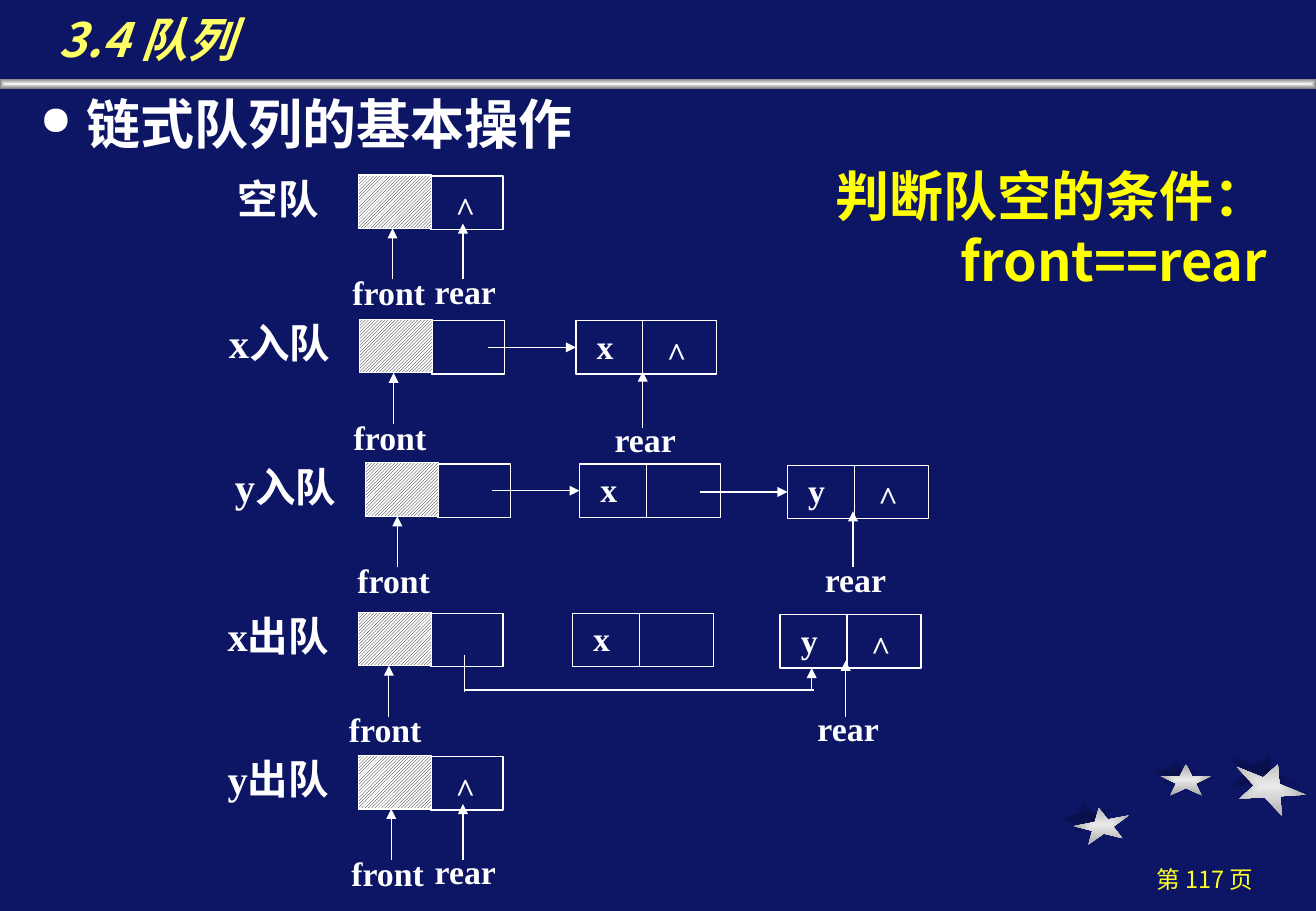
from dataclasses import dataclass
from typing import Optional

from lxml.etree import SubElement
from pptx import Presentation
from pptx.dml.color import RGBColor
from pptx.enum.dml import MSO_PATTERN
from pptx.enum.shapes import MSO_CONNECTOR, MSO_SHAPE
from pptx.enum.text import MSO_ANCHOR, MSO_AUTO_SIZE, PP_ALIGN
from pptx.oxml import parse_xml
from pptx.oxml.ns import nsdecls, qn
from pptx.util import Pt

PX = 9144  # EMU in one px, 100 px to the inch
SANS, SERIF = "Noto Sans CJK SC", "Times New Roman"
WHITE, NAVY = "FFFFFF", "0D1565"
WIDE, HIGH = 60, 44  # one cell
NODE, SPLIT = 116, 55  # node width, offset of its divider


@dataclass
class Node:
    x: int
    y: int
    key: str
    last: bool = False
    linked: bool = True


@dataclass
class Row:
    name: str
    x: int
    y: int
    front: int
    rear: int
    nodes: tuple[Node, ...] = ()
    drop: int = 0
    skip: Optional[int] = None  # x where the bypass link arrives


@dataclass
class Star:
    x: int
    y: int
    w: int
    h: int
    turn: int
    fill: tuple[str, str]


DARK, LIGHT = ("090F48", NAVY), ("EAEAEA", "A7A7A7")
STARS = [
    Star(871, 659, 46, 28, 349, DARK),
    Star(947, 624, 42, 26, 0, DARK),
    Star(1007, 618, 61, 38, 22, DARK),
    Star(884, 665, 46, 28, 349, LIGHT),
    Star(955, 629, 42, 26, 0, LIGHT),
    Star(1014, 628, 61, 38, 22, LIGHT),
]
ROWS = [
    Row("空队", 295, 145, 323, 381),
    Row("x入队", 296, 264, 324, 529, (Node(474, 264, "x", True),), drop=3),
    Row("y入队", 301, 382, 327, 702,
        (Node(477, 382, "x"), Node(648, 383, "y", True))),
    Row("x出队", 295, 505, 320, 696,
        (Node(471, 505, "x", linked=False),
         Node(642, 506, "y", True, False)), skip=668),
    Row("y出队", 295, 623, 322, 381),
]


def tint(code: str) -> RGBColor:
    return RGBColor.from_string(code)


def write(shape, text: str, size: int, color: str, face: str = SERIF,
          align=PP_ALIGN.CENTER, anchor=MSO_ANCHOR.MIDDLE,
          wrap: bool = True, bold: bool = True, slant: bool = False):
    frame = shape.text_frame
    frame.auto_size = MSO_AUTO_SIZE.NONE
    frame.word_wrap = wrap
    frame.vertical_anchor = anchor
    para = frame.paragraphs[0]
    para.alignment = align
    run = para.add_run()
    run.text = text
    font = run.font
    font.name, font.size = face, Pt(size)
    font.bold, font.italic = bold, slant
    font.color.rgb = tint(color)
    SubElement(run._r.get_or_add_rPr(), qn("a:ea")).set("typeface", SANS)
    return para


def area(host, x: int, y: int, w: int, h: int):
    return host.add_textbox(x * PX, y * PX, w * PX, h * PX)


def note(host, text: str, mid: int, y: int, w: int = 80) -> None:
    write(area(host, mid - w // 2, y, w, 43), text, 20, WHITE, wrap=False)


def cell(host, x: int, y: int, w: int = WIDE, hatch: bool = False):
    box = host.add_shape(MSO_SHAPE.RECTANGLE, x * PX, y * PX, w * PX, HIGH * PX)
    box.shadow.inherit = False
    box.line.color.rgb = tint(WHITE)
    box.line.width = Pt(0.75)
    if hatch:
        box.fill.patterned()
        box.fill.pattern = MSO_PATTERN.LIGHT_UPWARD_DIAGONAL
        box.fill.fore_color.rgb = tint("000000")
        box.fill.back_color.rgb = tint(WHITE)
    else:
        box.fill.background()
    return box


def link(host, x1: int, y1: int, x2: int, y2: int, arrow: bool = True):
    line = host.add_connector(MSO_CONNECTOR.STRAIGHT,
                              x1 * PX, y1 * PX, x2 * PX, y2 * PX)
    line.line.color.rgb = tint(WHITE)
    line.line.width = Pt(0.75)
    if arrow:
        SubElement(line.line._get_or_add_ln(), qn("a:tailEnd")).set("type", "triangle")
    SubElement(line._element.spPr, qn("a:effectLst"))
    return line


def shade(host, kind, x: int, y: int, w: int, h: int, fill: tuple[str, str]):
    shape = host.add_shape(kind, x * PX, y * PX, w * PX, h * PX)
    shape.line.fill.background()
    stops = "".join(f'<a:gs pos="{pos}"><a:srgbClr val="{code}"/></a:gs>'
                    for pos, code in zip((0, 100000), fill))
    shape._element.spPr.find(qn("a:prstGeom")).addnext(parse_xml(
        f'<a:gradFill {nsdecls("a")}><a:gsLst>{stops}</a:gsLst>'
        '<a:path path="shape"><a:fillToRect l="50000" t="50000" '
        'r="50000" b="50000"/></a:path></a:gradFill>'))
    shape.shadow.inherit = False
    return shape


def chain(host, node: Node) -> None:
    x, y = node.x, node.y
    box = cell(host, x, y, NODE)
    link(host, x + SPLIT, y, x + SPLIT, y + HIGH, False)
    note(host, node.key, x + 24, y - 1, 34)
    if node.last:
        note(host, "^", x + 83, y + 5, 36)
    if node.linked:
        mid = y + HIGH // 2
        link(host, x - 72, mid, x, mid).end_connect(box, 1)


def queue(host, row: Row) -> None:
    x, y = row.x, row.y
    cell(host, x + 59, y)
    cell(host, x, y - 1, hatch=True)
    write(area(host, x - 118, y - 7, 104, 50), row.name, 24, WHITE)
    # Front and rear pointers
    link(host, row.front, y + 85, row.front, y + 43)
    note(host, "front", row.front - 3, y + 74)
    low = y + row.drop
    link(host, row.rear, low + 85, row.rear, low + 39)
    note(host, "rear", row.rear + 2, low + 73, 70)
    # Nodes after the head
    if not row.nodes:
        note(host, "^", x + 88, y + 5, 36)
    for node in row.nodes:
        chain(host, node)
    # Link around the removed node
    if row.skip:
        left, base = x + 87, y + 63
        link(host, left, y + 34, left, base + 2, False)
        link(host, left, base, row.skip + 2, base, False)
        link(host, row.skip, base, row.skip, y + 45)


def main() -> None:
    deck = Presentation()
    deck.slide_width, deck.slide_height = 1083 * PX, 750 * PX
    slide = deck.slides.add_slide(deck.slide_layouts[5])
    slide.background.fill.solid()
    slide.background.fill.fore_color.rgb = tint(NAVY)
    host = slide.shapes

    # Stars, page number and bar
    for star in STARS:
        shade(host, MSO_SHAPE.STAR_5_POINT, star.x, star.y, star.w, star.h,
              star.fill).rotation = star.turn
    write(area(host, 900, 707, 183, 33), "第 117 页", 14, "FFFF25", SANS, bold=False)
    shade(host, MSO_SHAPE.RECTANGLE, 0, 65, 1083, 8, ("F2F2F2", "808080"))

    # Title and bullet
    title = host.title
    title.left, title.top, title.width, title.height = 38 * PX, 0, 1016 * PX, 60 * PX
    write(title, "3.4 队列", 28, "FFFF66", SANS, PP_ALIGN.LEFT,
          MSO_ANCHOR.BOTTOM, slant=True)
    para = write(area(host, 23, 70, 950, 61), "链式队列的基本操作", 32, WHITE,
                 "Arial", PP_ALIGN.LEFT, MSO_ANCHOR.TOP)
    props = para._p.get_or_add_pPr()
    props.set("marL", str(38 * PX))
    props.set("indent", str(-38 * PX))
    tone = SubElement(props, qn("a:buClr"))
    SubElement(tone, qn("a:srgbClr")).set("val", WHITE)
    SubElement(props, qn("a:buSzPct")).set("val", "75000")
    SubElement(props, qn("a:buChar")).set("char", "●")

    # Queue states
    for row in ROWS:
        queue(host.add_group_shape().shapes, row)

    # Empty test
    write(area(host, 658, 129, 395, 117), "判断队空的条件：front==rear", 32,
          "FFFF00", SANS, PP_ALIGN.RIGHT, MSO_ANCHOR.TOP)
    deck.save("out.pptx")


if __name__ == "__main__":
    main()
